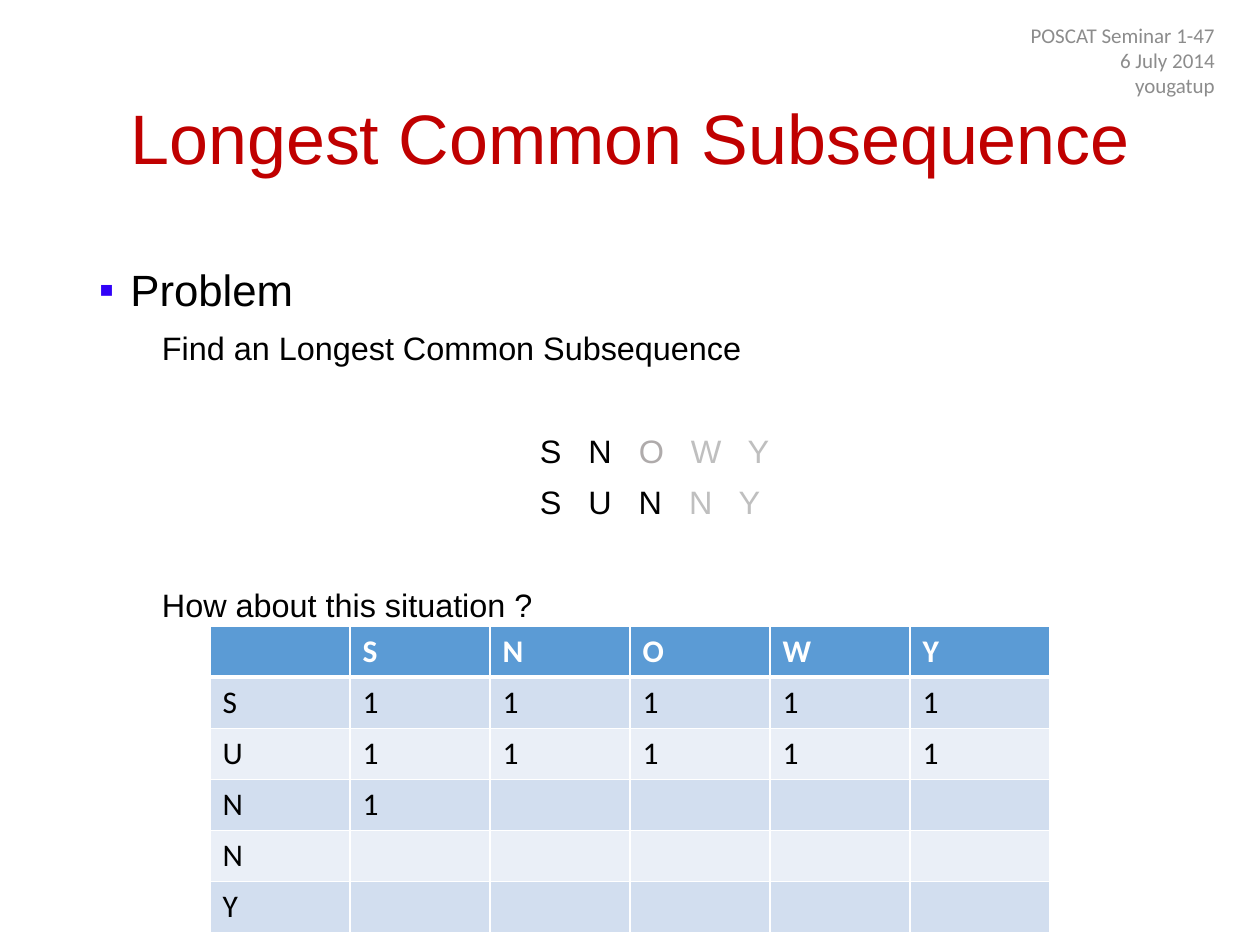
from lxml import etree
from pptx import Presentation
from pptx.dml.color import RGBColor
from pptx.enum import text
from pptx.oxml import ns
from pptx.util import Pt

COLORS = {
    "title": "C00000", "bullet": "3102F8", "ink": "000000", "header": "8C8C8C",
    "gray": "AFABAB", "pale": "BFBFBF", "white": "FFFFFF",
    "head": "5B9BD5", "band": "D2DEEF", "light": "EAEFF7",
}


def add_element(parent, tag, **attributes):
    element = etree.SubElement(parent, ns.qn(tag))
    for name, value in attributes.items():
        element.set(name, str(value))
    return element


def write(frame, content, first=False, size=18.5, font="Arial", color="ink", bold=False,
          align=text.PP_ALIGN.LEFT, line=None, before=0, margin=0, indent=0,
          bullet=None, spacing=0):
    """Write one paragraph; content is a string or a list of (string, color) runs."""
    paragraph = frame.paragraphs[0] if first else frame.add_paragraph()
    properties = paragraph._p.get_or_add_pPr()
    properties.set("marL", str(Pt(margin)))
    properties.set("indent", str(Pt(indent)))
    if bullet:
        bullet_color = add_element(properties, "a:buClr")
        add_element(bullet_color, "a:srgbClr", val=COLORS["bullet"])
        add_element(properties, "a:buFont", typeface=font)
        add_element(properties, "a:buChar", char=bullet)
    else:
        add_element(properties, "a:buNone")
    paragraph.alignment = align
    paragraph.space_before = Pt(before)
    if line:
        paragraph.line_spacing = line
    paragraph.font.size = Pt(size)
    for string, run_color in [(content, color)] if isinstance(content, str) else content:
        run = paragraph.add_run()
        run.text = string
        run.font.size = Pt(size)
        run.font.name = font
        run.font.bold = bold
        run.font.color.rgb = RGBColor.from_string(COLORS[run_color])
        if spacing:
            run._r.get_or_add_rPr().set("spc", str(round(spacing * 100)))


presentation = Presentation()
presentation.slide_width, presentation.slide_height = Pt(720), Pt(540)
slide = presentation.slides.add_slide(presentation.slide_layouts[5])

# Title
title = slide.shapes.title
title.left, title.top, title.width, title.height = Pt(49.5), Pt(28.75), Pt(621), Pt(104.4)
title.text_frame.vertical_anchor = text.MSO_ANCHOR.MIDDLE
title.text_frame.auto_size = text.MSO_AUTO_SIZE.NONE
write(title.text_frame, "Longest Common Subsequence", first=True, size=40, color="title",
      align=text.PP_ALIGN.CENTER, line=0.9)

# Problem statement, with the two words indented and letter-spaced
body = slide.shapes.add_textbox(Pt(49.5), Pt(143.75), Pt(621), Pt(342.6)).text_frame
body.word_wrap = True
write(body, "Problem", first=True, size=25, line=1.1, margin=18, indent=-18, bullet="▪")
write(body, "Find an Longest Common Subsequence", line=1.1, before=5, margin=36)
write(body, [("S N ", "ink"), ("O ", "gray"), ("W Y", "pale")],
      line=1.1, before=34.4, margin=252, spacing=5.14)
write(body, [("S U N ", "ink"), ("N Y", "pale")],
      line=1.1, before=5, margin=252, spacing=5.14)
write(body, "How about this situation ?", line=1.1, before=34.4, margin=36)

# Seminar details
details = slide.shapes.add_textbox(Pt(539.25), Pt(14.4), Pt(162), Pt(39.6)).text_frame
details.word_wrap = True
details.vertical_anchor = text.MSO_ANCHOR.MIDDLE
for index, string in enumerate(["POSCAT Seminar 1-47", "6 July 2014", "yougatup"]):
    write(details, string, first=index == 0, size=12, font="Calibri", color="header",
          align=text.PP_ALIGN.RIGHT)

# Table of subsequence lengths
ROWS = [" SNOWY", "S11111", "U11111", "N1", "N", "Y"]
SIZE = len(ROWS)
table = slide.shapes.add_table(SIZE, SIZE, Pt(120), Pt(357.75), Pt(480), Pt(175.2)).table
for row_index, values in enumerate(ROWS):
    table.rows[row_index].height = Pt(29.2)
    table.columns[row_index].width = Pt(80)
    is_head = row_index == 0
    fill = "head" if is_head else "band" if row_index % 2 else "light"
    for column_index, value in enumerate(values.ljust(SIZE)):
        cell = table.cell(row_index, column_index)
        borders = {"L": 1, "R": 1, "T": 3 if row_index == 1 else 1, "B": 3 if is_head else 1}
        cell_properties = cell._tc.get_or_add_tcPr()
        for side, width in borders.items():
            border = add_element(cell_properties, f"a:ln{side}", w=Pt(width))
            border_fill = add_element(border, "a:solidFill")
            add_element(border_fill, "a:srgbClr", val=COLORS["white"])
        cell.fill.solid()
        cell.fill.fore_color.rgb = RGBColor.from_string(COLORS[fill])
        if value.strip():
            write(cell.text_frame, value, first=True, size=18, font="Calibri", bold=is_head,
                  color="white" if is_head else "ink")

presentation.save("out.pptx")
